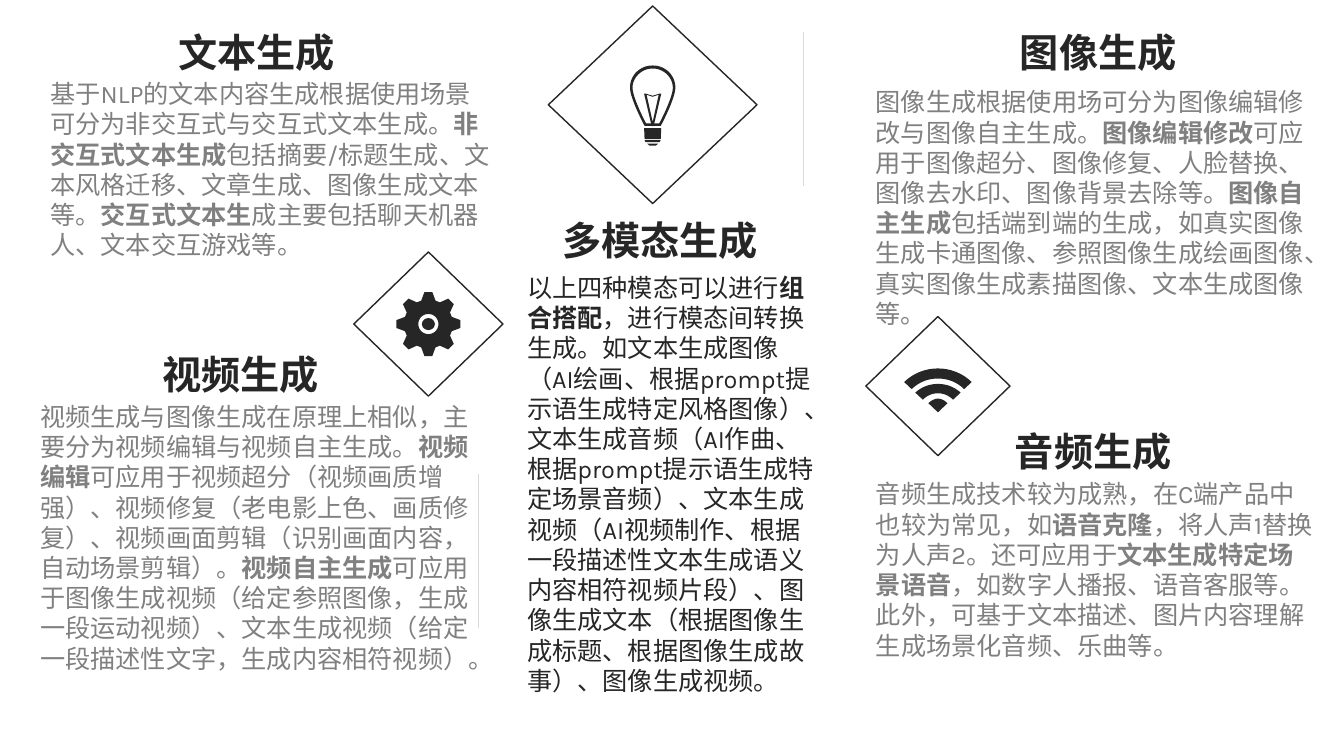
import dataclasses
import math

import lxml.etree
import pptx
import pptx.dml.color
import pptx.enum.shapes
import pptx.enum.text
import pptx.oxml.ns
import pptx.util

CELL = pptx.util.Inches(0.1)
COLUMNS, ROWS = 133.33, 75
ALIGN = pptx.enum.text.PP_ALIGN
SHAPE = pptx.enum.shapes.MSO_SHAPE


@dataclasses.dataclass(frozen=True)
class Theme:
    ink: str = "262626"
    muted: str = "808080"
    rule: str = "D9D9D9"
    heading_font: str = "Noto Sans CJK JP"
    body_font: str = "Karla"
    heading_size: float = 28
    body_size: float = 18
    outline: float = 1
    hairline: float = 0.5


@dataclasses.dataclass(frozen=True)
class Box:
    left: float
    top: float
    width: float
    height: float

    def emu(self):
        return [cells(v) for v in (self.left, self.top, self.width, self.height)]

    def point(self, x, y):
        return (cells(self.left + self.width / 2 + x),
                cells(self.top + self.height / 2 + y))


THEME = Theme()


def cells(count):
    return round(count * CELL)


def rgb(value):
    return pptx.dml.color.RGBColor.from_string(value)


def add_text(slide, box, runs, font_name, size, color, align=ALIGN.LEFT):
    frame = slide.shapes.add_textbox(*box.emu()).text_frame
    frame.word_wrap = True
    paragraph = frame.paragraphs[0]
    paragraph.alignment = align
    for words, bold in runs:
        run = paragraph.add_run()
        run.text = words
        run.font.name = font_name
        run.font.size = pptx.util.Pt(size)
        run.font.bold = bold
        run.font.color.rgb = rgb(color)
        properties = run._r.get_or_add_rPr()
        properties.set("lang", "zh-CN")
        east_asian = lxml.etree.SubElement(properties, pptx.oxml.ns.qn("a:ea"))
        east_asian.set("typeface", font_name)


def topic(slide, heading_box, heading, body_box, body, color=THEME.muted, align=ALIGN.LEFT):
    add_text(slide, heading_box, [(heading, True)], THEME.heading_font,
             THEME.heading_size, THEME.ink, align)
    add_text(slide, body_box, body, THEME.body_font, THEME.body_size, color)


def divider(slide, box):
    left, top, width, height = box.emu()
    line = slide.shapes.add_connector(pptx.enum.shapes.MSO_CONNECTOR.STRAIGHT,
                                      left, top, left + width, top + height)
    line.line.color.rgb = rgb(THEME.rule)
    line.line.width = pptx.util.Pt(THEME.hairline)
    lxml.etree.SubElement(line._element.spPr, pptx.oxml.ns.qn("a:effectLst"))


def paint(shape):
    shape.shadow.inherit = False
    shape.fill.solid()
    shape.fill.fore_color.rgb = rgb(THEME.ink)
    shape.line.fill.background()


def curve(start, pull_start, pull_end, end, steps=16):
    points = []
    for step in range(steps + 1):
        t = step / steps
        weights = ((1 - t) ** 3, 3 * t * (1 - t) ** 2, 3 * t * t * (1 - t), t ** 3)
        points.append(tuple(
            sum(w * p[axis] for w, p in zip(weights, (start, pull_start, pull_end, end)))
            for axis in (0, 1)))
    return points


def mirrored(right_side):
    return right_side + [(-x, y) for x, y in reversed(right_side)]


def polar(radius, degrees):
    angle = math.radians(degrees)
    return radius * math.cos(angle), radius * math.sin(angle)


def outline(group, box, *contours):
    first, *others = [[box.point(*p) for p in contour] for contour in contours]
    builder = group.shapes.build_freeform(*first[0], scale=1.0)
    builder.add_line_segments(first[1:], close=True)
    for contour in others:
        builder.move_to(*contour[0])
        builder.add_line_segments(contour[1:], close=True)
    paint(builder.convert_to_shape())


def diamond(slide, box):
    group = slide.shapes.add_group_shape()
    frame = group.shapes.add_shape(SHAPE.DIAMOND, *box.emu())
    frame.shadow.inherit = False
    frame.fill.background()
    frame.line.color.rgb = rgb(THEME.ink)
    frame.line.width = pptx.util.Pt(THEME.outline)
    return group


def bulb_badge(slide, box):
    group = diamond(slide, box)
    glass = (curve((0, -3.9), (1.25, -3.9), (2.25, -2.95), (2.25, -1.7))
             + curve((2.25, -1.7), (2.25, -0.6), (0.8, 2.1), (0.8, 2.1)))
    hollow = (curve((0, -3.6), (1.1, -3.6), (2, -2.7), (2, -1.7))
              + curve((2, -1.7), (2, -0.8), (0.9, 1.4), (0.65, 1.85)))
    outline(group, box, mirrored(glass), mirrored(hollow))
    outline(group, box,
            mirrored([(0, -0.9), (0.65, -1.1), (0.85, -1.1), (0.1, 2.1)]),
            mirrored([(0, -0.8), (0.6, -1), (0, 1.7)]))
    for top, bottom, half_top, half_bottom in (
            (2.3, 3.4, 0.85, 0.8), (3.5, 3.7, 0.8, 0.7), (3.85, 4.05, 0.55, 0.3)):
        outline(group, box, mirrored([(half_top, top), (half_bottom, bottom)]))


def gear_badge(slide, box):
    group = diamond(slide, box)
    teeth = [polar(radius, 45 * tooth + offset) for tooth in range(8)
             for radius, offset in ((2.43, -17), (3.2, -7), (3.2, 7), (2.43, 17))]
    hole = [polar(1, degrees) for degrees in range(0, 360, 10)]
    outline(group, box, teeth, hole)
    hub = Box(box.left + box.width / 2 - 0.65, box.top + box.height / 2 - 0.6, 1.3, 1.2)
    paint(group.shapes.add_shape(SHAPE.OVAL, *hub.emu()))


def signal_badge(slide, box):
    group = diamond(slide, box)
    for outer, outer_pull, inner, inner_pull in (
            ((3.35, -0.4), (1.5, -2.2), (2.6, 0.3), (1.2, -1.1)),
            ((2.25, 0.65), (1, -0.5), (1.5, 1.35), (0.65, 0.5)),
            ((0.95, 1.7), (0.3, 1.1), (0, 2.6), (0, 2.6))):
        flip = lambda p: (-p[0], p[1])
        outline(group, box, curve(flip(outer), flip(outer_pull), outer_pull, outer)
                + curve(inner, inner_pull, flip(inner_pull), flip(inner)))


def generation_slide(slide):
    divider(slide, Box(79.7, 3.2, 0, 15.3))
    bulb_badge(slide, Box(54.4, 0.6, 20.7, 19.6))
    topic(slide, Box(100.2, 2.3, 18.1, 5.7), "图像生成", Box(85.9, 8.1, 46.6, 25.2), [
        ("图像生成根据使用场可分为图像编辑修改与图像自主生成。", False),
        ("图像编辑修改", True),
        ("可应用于图像超分、图像修复、人脸替换、图像去水印、图像背景去除等。", False),
        ("图像自主生成", True),
        ("包括端到端的生成，如真实图像生成卡通图像、参照图像生成绘画图像、真实图像生成素描图像、文本生成图像等。", False)])
    topic(slide, Box(7, 2.3, 27.2, 5.7), "文本生成", Box(4, 7.3, 46, 19.2), [
        ("基于NLP的文本内容生成根据使用场景可分为非交互式与交互式文本生成。", False),
        ("非交互式文本生成", True),
        ("包括摘要/标题生成、文本风格迁移、文章生成、图像生成文本等。", False),
        ("交互式文本生", True),
        ("成主要包括聊天机器人、文本交互游戏等。", False)], align=ALIGN.RIGHT)
    gear_badge(slide, Box(35.1, 25, 14.8, 14.3))
    topic(slide, Box(15.1, 34.3, 27.2, 5.7), "视频生成", Box(3, 39.3, 44.5, 31.9), [
        ("视频生成与图像生成在原理上相似，主要分为视频编辑与视频自主生成。", False),
        ("视频编辑", True),
        ("可应用于视频超分（视频画质增强）、视频修复（老电影上色、画质修复）、视频画面剪辑（识别画面内容，自动场景剪辑）。", False),
        ("视频自主生成", True),
        ("可应用于图像生成视频（给定参照图像，生成一段运动视频）、文本生成视频（给定一段描述性文字，生成内容相符视频）。", False)])
    topic(slide, Box(99.1, 41.9, 18.1, 5.7), "音频生成", Box(85.9, 47, 45.8, 19.1), [
        ("音频生成技术较为成熟，在C端产品中也较为常见，如", False),
        ("语音克隆", True),
        ("，将人声1替换为人声2。还可应用于", False),
        ("文本生成特定场景语音", True),
        ("，如数字人播报、语音客服等。此外，可基于文本描述、图片内容理解生成场景化音频、乐曲等。", False)],
        align=ALIGN.RIGHT)
    topic(slide, Box(54.8, 21, 24, 5.7), "多模态生成", Box(51.3, 26.5, 31.1, 13.8), [
        ("以上四种模态可以进行", False),
        ("组合搭配", True),
        ("，进行模态间转换生成。如文本生成图像（AI绘画、根据prompt提示语生成特定风格图像）、文本生成音频（AI作曲、根据prompt提示语生成特定场景音频）、文本生成视频（AI视频制作、根据一段描述性文本生成语义内容相符视频片段）、图像生成文本（根据图像生成标题、根据图像生成故事）、图像生成视频。", False)],
        color=THEME.ink)
    divider(slide, Box(47.5, 47, 0, 15.3))
    signal_badge(slide, Box(85.9, 31.4, 14.3, 13.8))


def main():
    deck = pptx.Presentation()
    deck.slide_width, deck.slide_height = cells(COLUMNS), cells(ROWS)
    generation_slide(deck.slides.add_slide(deck.slide_layouts[6]))
    deck.save("out.pptx")


if __name__ == "__main__":
    main()
